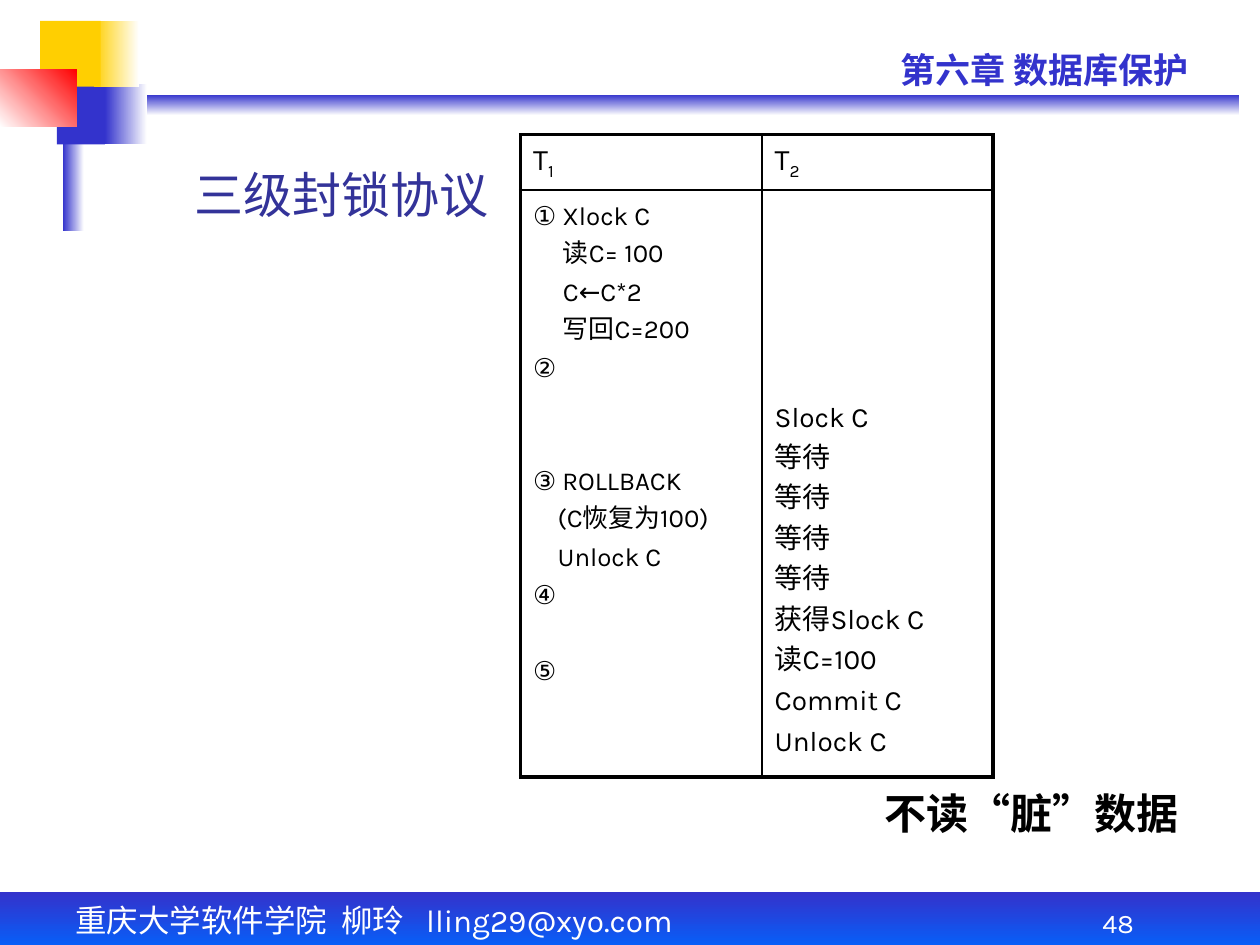
from lxml import etree
from pptx import Presentation
from pptx import util as u
from pptx.dml import color
from pptx.enum import shapes, text
from pptx.oxml import ns

Pt = u.Pt
LATIN = "Karla"
BLUE, GOLD, WHITE, BLACK = "3333CC", "FFCF01", "FFFFFF", "000000"


def rgb(hex_value):
    return color.RGBColor.from_string(hex_value)


def points(*lengths):
    return [Pt(length) for length in lengths]


def child(parent, tag, **attributes):
    return etree.SubElement(parent, ns.qn(tag), attributes)


def apply(target, formats):
    for name, value in formats.items():
        setattr(target, name, value)


def add_run(paragraph, words, size, ink, name=LATIN, bold=False):
    run = paragraph.add_run()
    run.text = words
    apply(run.font, {"size": Pt(size), "name": name, "bold": bold})
    run.font.color.rgb = rgb(ink)
    return run


def add_label(slide, box, words, size, ink, tabs=(), align=text.PP_ALIGN.LEFT,
              anchor=text.MSO_ANCHOR.TOP, wrap=True, **font):
    frame = slide.shapes.add_textbox(*points(*box)).text_frame
    apply(frame, {"word_wrap": wrap, "vertical_anchor": anchor})
    paragraph = frame.paragraphs[0]
    paragraph.alignment = align
    if tabs:
        stops = child(paragraph._p.get_or_add_pPr(), "a:tabLst")
        for stop in tabs:
            child(stops, "a:tab", pos=str(Pt(stop)), algn="l")
    add_run(paragraph, words, size, ink, **font)


def add_block(slide, box, start, end=None, angle=0):
    """Rectangle with a plain fill, or a gradient at a counter-clockwise angle."""
    block = slide.shapes.add_shape(shapes.MSO_SHAPE.RECTANGLE, *points(*box))
    block.shadow.inherit = False
    block.line.fill.background()
    if end is None:
        block.fill.solid()
        block.fill.fore_color.rgb = rgb(start)
        return
    block.fill.gradient()
    block.fill.gradient_angle = angle
    for stop, hex_value in zip(block.fill.gradient_stops, (start, end)):
        stop.color.rgb = rgb(hex_value)


def add_header(slide, left, top):
    # Rule, fading tails and coloured squares, back to front
    blocks = [
        ((42, 54, 666, 12), BLUE, WHITE, 270),
        ((60, 48, 24, 34.5), BLUE, WHITE, 0),
        ((36, 42, 12, 90), BLUE, WHITE, 0),
        ((32.5, 48, 27.5, 34.5), BLUE),
        ((53.5, 12, 26, 37.5), GOLD, WHITE, 0),
        ((23, 12, 34.5, 37.5), GOLD),
        ((0, 39.5, 44, 33), WHITE, "FF0000", 45),
    ]
    for (x, y, width, height), *fill in blocks:
        add_block(slide, (left + x, top + y, width, height), *fill)
    # Chapter name
    add_label(slide, (left + 507.5, top + 24, 201, 32), "第六章 数据库保护",
              20, BLUE, bold=True)


def add_footer(slide, left, top, width, height):
    add_block(slide, (left, top, width, height), BLUE, "0066FF", 270)
    add_label(slide, (left + 36, top + 1.5, 402, 29),
              "重庆大学软件学院\t柳玲\tlling29@xyo.com", 18, WHITE, tabs=(152, 200.5))
    add_label(slide, (left + 582, top, 114, 30), "48", 15.3, WHITE,
              align=text.PP_ALIGN.CENTER, anchor=text.MSO_ANCHOR.BOTTOM)


def add_title(slide, box):
    title = slide.shapes.title
    apply(title, dict(zip(("left", "top", "width", "height"), points(*box))))
    frame = title.text_frame
    apply(frame, {"vertical_anchor": text.MSO_ANCHOR.BOTTOM, "word_wrap": True,
                  "auto_size": text.MSO_AUTO_SIZE.NONE})
    frame.paragraphs[0].alignment = text.PP_ALIGN.CENTER
    add_run(frame.paragraphs[0], "三级封锁协议", 28, "333399")


def set_borders(cell, **widths):
    properties = cell._tc.get_or_add_tcPr()
    for position, side in enumerate(("L", "R", "T", "B")):
        line = etree.Element(ns.qn(f"a:ln{side}"), {"w": str(Pt(widths[side]))})
        child(child(line, "a:solidFill"), "a:srgbClr", val=BLACK)
        properties.insert(position, line)


def fill_steps(cell, steps, size, line_height, margin_top):
    """Each step is (words, indent, space before), on lines of a fixed height."""
    cell.margin_top = Pt(margin_top)
    for row, (words, indent, gap) in enumerate(steps):
        frame = cell.text_frame
        paragraph = frame.add_paragraph() if row else frame.paragraphs[0]
        paragraph._p.get_or_add_pPr().set("marL", str(Pt(indent)))
        apply(paragraph, {"alignment": text.PP_ALIGN.JUSTIFY,
                          "line_spacing": Pt(line_height),
                          "space_before": Pt(gap if row else 0)})
        add_run(paragraph, words, size, BLACK)


def add_schedule(slide, box, column_widths, row_heights):
    table = slide.shapes.add_table(2, 2, *points(*box)).table
    apply(table, {"first_row": False, "horz_banding": False})
    for column, width in zip(table.columns, column_widths):
        column.width = Pt(width)
    for row, height in zip(table.rows, row_heights):
        row.height = Pt(height)

    # Thick frame, thin inner lines, no fill
    thick, thin = 2.25, 1
    for r in range(2):
        for c in range(2):
            cell = table.cell(r, c)
            cell.fill.background()
            set_borders(cell, L=thin if c else thick, R=thick if c else thin,
                        T=thin if r else thick, B=thick if r else thin)

    # Transaction names
    for c in range(2):
        head = table.cell(0, c)
        head.vertical_anchor = text.MSO_ANCHOR.MIDDLE
        paragraph = head.text_frame.paragraphs[0]
        add_run(paragraph, "T", 17, BLACK)
        index = add_run(paragraph, str(c + 1), 17, BLACK)
        index.font._element.set("baseline", "-25000")

    # Steps of both transactions, aligned in time
    gap = 4
    fill_steps(table.cell(1, 0), [
        ("① Xlock C", 0, 0), ("读C= 100", 17, gap), ("C←C*2", 17, gap),
        ("写回C=200", 17, gap), ("②", 0, gap), ("③ ROLLBACK", 0, 47),
        ("(C恢复为100)", 14, gap), ("Unlock C", 14, gap), ("④", 0, gap),
        ("⑤", 0, 25.5)], 14.8, 17.7, 6.5)
    fill_steps(table.cell(1, 1), [(words, 0, gap) for words in (
        "Slock C", *["等待"] * 4, "获得Slock C", "读C=100", "Commit C",
        "Unlock C")], 16, 19.1, 121)


def main():
    deck = Presentation()
    deck.slide_width, deck.slide_height = points(720, 540)
    slide = deck.slides.add_slide(deck.slide_layouts[5])
    add_header(slide, 0, 0)
    add_footer(slide, 0, 510, 720, 36)
    add_title(slide, (70.5, 83, 249, 48))
    add_schedule(slide, (297.5, 77, 270, 367), (138, 132), (31.5, 335.5))
    # Conclusion
    add_label(slide, (487.5, 440.5, 204, 48), "不读“脏”数据", 24, BLACK,
              name="Arial", bold=True, wrap=False, align=text.PP_ALIGN.CENTER,
              anchor=text.MSO_ANCHOR.MIDDLE)
    deck.save("out.pptx")


if __name__ == "__main__":
    main()
